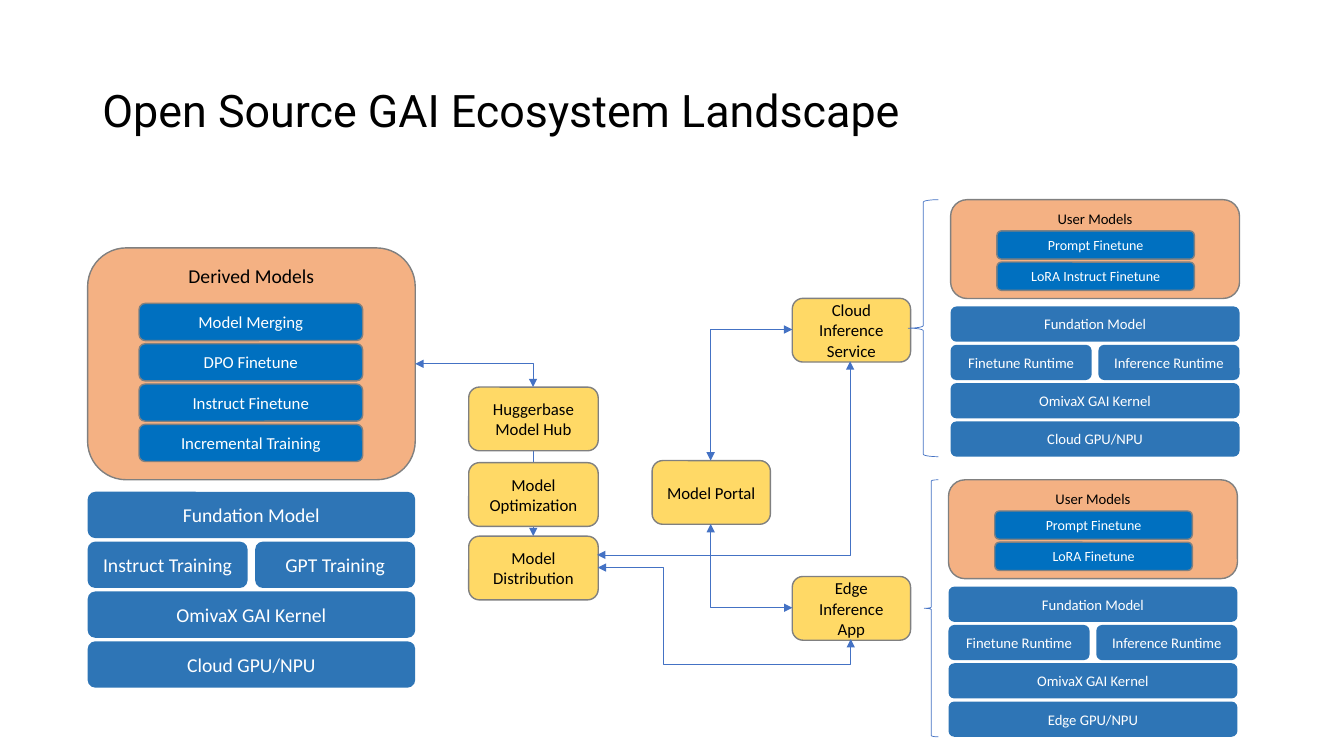
"""Build the open source GAI ecosystem landscape slide."""
from dataclasses import dataclass

from lxml import etree
from pptx import Presentation
from pptx.dml.color import RGBColor
from pptx.enum import shapes, text
from pptx.oxml.ns import qn
from pptx.util import Pt

BLUE, ITEM_BLUE, ORANGE, YELLOW = "2E75B6", "0070C0", "F4B183", "FFD966"
GREY, LINE_BLUE, BLACK, WHITE = "808080", "4472C4", "000000", "FFFFFF"


@dataclass
class Box:
    label: str
    left: float
    top: float
    width: float
    height: float
    fill: str
    size: float
    font_color: str = BLACK
    outline: str | None = GREY
    anchor: text.MSO_ANCHOR = text.MSO_ANCHOR.MIDDLE


@dataclass
class StackStyle:
    width: float
    panel_height: float
    item_dx: float
    item_dy: float
    item_width: float
    item_height: float
    item_pitch: float
    layer_dy: float
    layer_height: float
    layer_pitch: float
    gap: float
    size: float
    item_size: float


@dataclass
class Stack:
    left: float
    top: float
    title: str
    items: list[str]
    layers: list[list[str]]
    style: StackStyle


@dataclass
class Link:
    left: float
    top: float
    width: float
    height: float
    preset: str = "bentConnector2"
    rotation: int = 0
    flip: str = ""
    adjustments: tuple[int, ...] = ()
    both_ends: bool = True


@dataclass
class Brace:
    left: float
    top: float
    width: float
    height: float


LARGE = StackStyle(234, 165.6, 36.7, 39.6, 159.8, 26.6, 28.8, 174.2, 33.1, 35.6, 5.4, 14, 12)
SMALL = StackStyle(206.4, 70.6, 33.1, 22.3, 141.1, 20.2, 22.3, 76.3, 25.2, 27.36, 4.8, 10.5, 10)
RUNTIMES = ["Finetune Runtime", "Inference Runtime"]
KERNEL = "OmivaX GAI Kernel"

STACKS = [
    Stack(62.6, 177.1, "Derived Models",
          ["Model Merging", "DPO Finetune", "Instruct Finetune", "Incremental Training"],
          [["Fundation Model"], ["Instruct Training", "GPT Training"], [KERNEL], ["Cloud GPU/NPU"]],
          LARGE),
    Stack(677.5, 342.7, "User Models", ["Prompt Finetune", "LoRA Finetune"],
          [["Fundation Model"], RUNTIMES, [KERNEL], ["Edge GPU/NPU"]], SMALL),
    Stack(679, 142.6, "User Models", ["Prompt Finetune", "LoRA Instruct Finetune"],
          [["Fundation Model"], RUNTIMES, [KERNEL], ["Cloud GPU/NPU"]], SMALL),
]

HUB_WIDTH, SERVICE_WIDTH, NODE_HEIGHT = 92.5, 84.5, 45.5
NODES = [
    Box(label, left, top, width, NODE_HEIGHT, YELLOW, 12)
    for label, left, top, width in [
        ("Huggerbase\nModel Hub", 334.8, 276.5, HUB_WIDTH),
        ("Model Optimization", 334.8, 330.5, HUB_WIDTH),
        ("Model Distribution", 334.8, 383, HUB_WIDTH),
        ("Model Portal", 465.8, 329, SERVICE_WIDTH),
        ("Cloud Inference Service", 565.9, 213.1, SERVICE_WIDTH),
        ("Edge Inference App", 565.9, 411.8, SERVICE_WIDTH),
    ]
]

HUB_FLOW = Link(380.9, 321.1, 0, 61.9, "line", both_ends=False)
LINKS = [
    Link(507.6, 235.4, 58.3, 93.6, rotation=180, flip="flipV"),
    Link(506.9, 375.1, 59.8, 58.3, rotation=270, flip="flipH"),
    Link(447.8, 236.9, 138.2, 180.7, rotation=90),
    Link(427, 405.4, 180.7, 51.1, "bentConnector4", adjustments=(26100, 135000)),
    Link(296.6, 259.9, 84.2, 16.6),
]
BRACES = [Brace(648.7, 142.6, 21.6, 183.6), Brace(660.2, 342.7, 10.1, 183.6)]


def color(value: str) -> RGBColor:
    """Turn a hex string into a colour."""
    return RGBColor.from_string(value)


def style_text(frame, size: float, font_name: str, font_color: str, alignment) -> None:
    """Align every paragraph and format its runs."""
    for paragraph in frame.paragraphs:
        paragraph.alignment = alignment
        for run in paragraph.runs:
            run.font.size = Pt(size)
            run.font.name = font_name
            run.font.color.rgb = color(font_color)


def draw_box(slide, box: Box) -> None:
    """Draw a rounded box with a centred label."""
    shape = slide.shapes.add_shape(shapes.MSO_SHAPE.ROUNDED_RECTANGLE, Pt(box.left), Pt(box.top),
                                   Pt(box.width), Pt(box.height))
    shape.shadow.inherit = False
    shape.fill.solid()
    shape.fill.fore_color.rgb = color(box.fill)
    if box.outline:
        shape.line.color.rgb = color(box.outline)
        shape.line.width = Pt(1)
    else:
        shape.line.fill.background()
    frame = shape.text_frame
    frame.text = box.label
    frame.word_wrap = True
    frame.vertical_anchor = box.anchor
    style_text(frame, box.size, "Calibri", box.font_color, text.PP_ALIGN.CENTER)


def draw_stack(slide, stack: Stack) -> None:
    """Draw a panel of models above its rows of layers."""
    style = stack.style
    draw_box(slide, Box(stack.title, stack.left, stack.top, style.width, style.panel_height,
                        ORANGE, style.size, anchor=text.MSO_ANCHOR.TOP))
    for index, label in enumerate(stack.items):
        top = stack.top + style.item_dy + index * style.item_pitch
        draw_box(slide, Box(label, stack.left + style.item_dx, top, style.item_width,
                            style.item_height, ITEM_BLUE, style.item_size, WHITE))
    for row, labels in enumerate(stack.layers):
        top = stack.top + style.layer_dy + row * style.layer_pitch
        width = (style.width - style.gap * (len(labels) - 1)) / len(labels)
        for column, label in enumerate(labels):
            draw_box(slide, Box(label, stack.left + column * (width + style.gap), top, width,
                                style.layer_height, BLUE, style.size, WHITE, None))


def draw_link(slide, link: Link) -> None:
    """Draw a connector with arrowheads."""
    connector = slide.shapes.add_connector(
        shapes.MSO_CONNECTOR.ELBOW, Pt(link.left), Pt(link.top),
        Pt(link.left + link.width), Pt(link.top + link.height))
    connector.line.color.rgb = color(LINE_BLUE)
    connector.line.width = Pt(0.5)
    properties = connector._element.spPr
    transform = properties.find(qn("a:xfrm"))
    if link.rotation:
        transform.set("rot", str(link.rotation * 60000))
    if link.flip:
        transform.set(link.flip, "1")
    geometry = properties.find(qn("a:prstGeom"))
    geometry.set("prst", link.preset)
    for number, value in enumerate(link.adjustments, 1):
        etree.SubElement(geometry.find(qn("a:avLst")), qn("a:gd"),
                         name=f"adj{number}", fmla=f"val {value}")
    outline = properties.find(qn("a:ln"))
    for end in ("a:headEnd", "a:tailEnd") if link.both_ends else ("a:tailEnd",):
        etree.SubElement(outline, qn(end), type="triangle")
    etree.SubElement(properties, qn("a:effectLst"))


def draw_brace(slide, brace: Brace) -> None:
    """Draw a thin left brace."""
    shape = slide.shapes.add_shape(shapes.MSO_SHAPE.LEFT_BRACE, Pt(brace.left), Pt(brace.top),
                                   Pt(brace.width), Pt(brace.height))
    shape.shadow.inherit = False
    shape.fill.background()
    shape.line.color.rgb = color(LINE_BLUE)
    shape.line.width = Pt(0.5)


def draw_title(slide) -> None:
    """Place and format the slide title."""
    title = slide.shapes.title
    title.left, title.top, title.width, title.height = Pt(66), Pt(28.8), Pt(828), Pt(104.4)
    frame = title.text_frame
    frame.text = "Open Source GAI Ecosystem Landscape"
    frame.vertical_anchor = text.MSO_ANCHOR.MIDDLE
    frame.auto_size = text.MSO_AUTO_SIZE.NONE
    frame.paragraphs[0].line_spacing = 0.9
    style_text(frame, 32, "Roboto", BLACK, text.PP_ALIGN.LEFT)


def main() -> None:
    """Assemble and save the slide."""
    presentation = Presentation()
    presentation.slide_width, presentation.slide_height = Pt(960), Pt(540)
    slide = presentation.slides.add_slide(presentation.slide_layouts[5])
    draw_title(slide)
    draw_link(slide, HUB_FLOW)
    for stack in STACKS:
        draw_stack(slide, stack)
    for node in NODES:
        draw_box(slide, node)
    for link in LINKS:
        draw_link(slide, link)
    for brace in BRACES:
        draw_brace(slide, brace)
    presentation.save("out.pptx")


if __name__ == "__main__":
    main()
